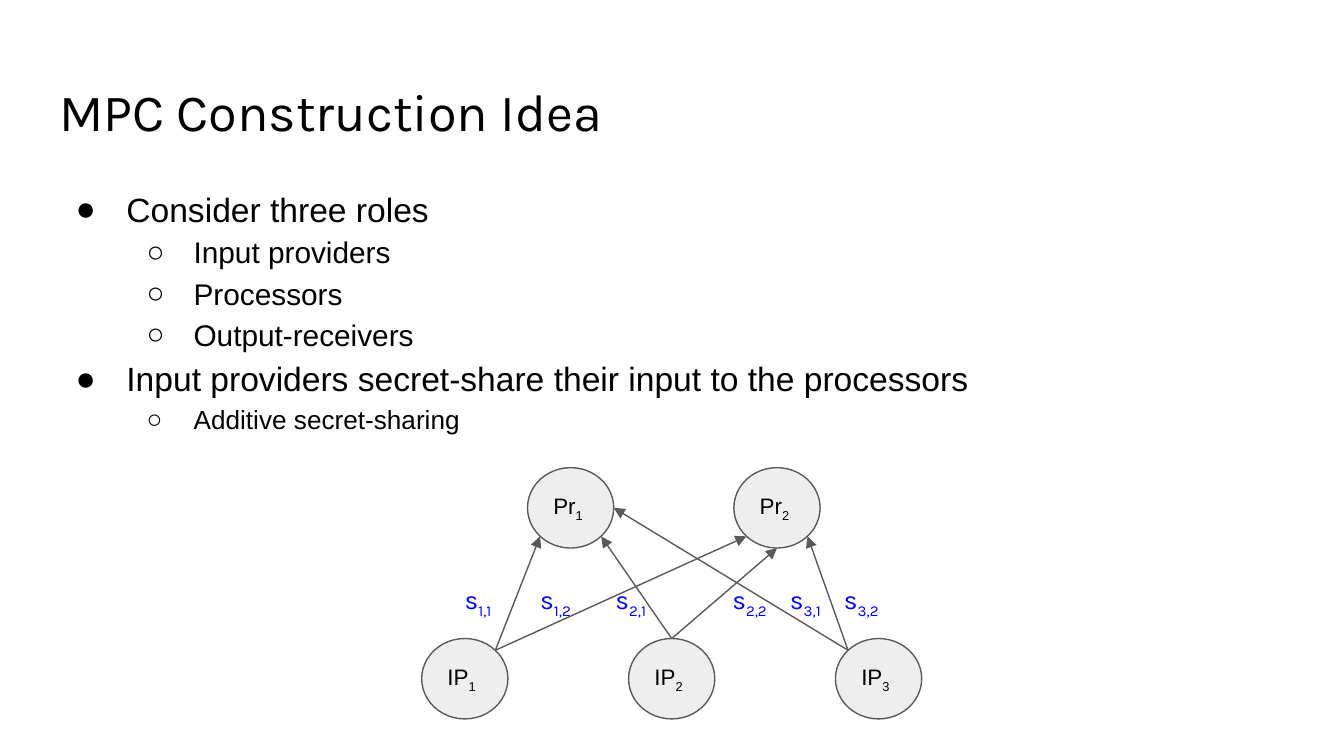
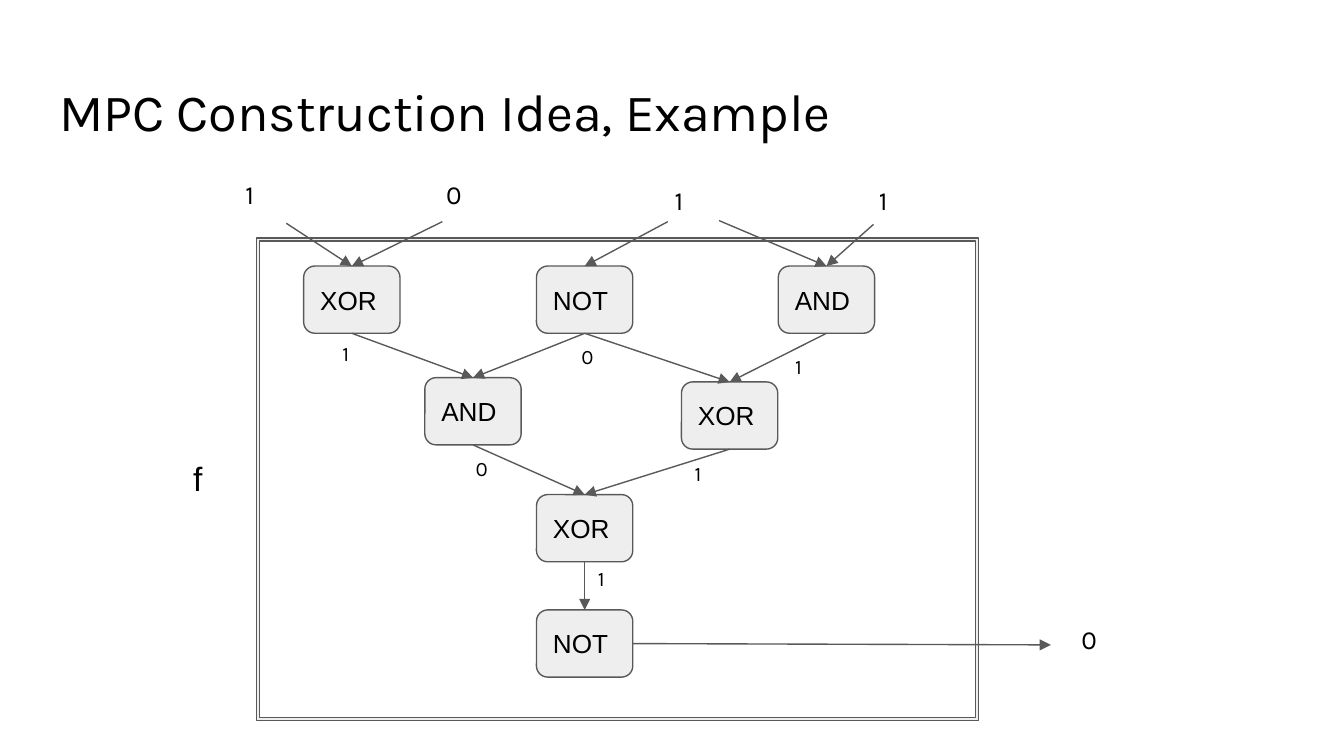
from typing import NamedTuple

from lxml.etree import SubElement
from pptx import Presentation
from pptx.dml.color import RGBColor
from pptx.enum.shapes import MSO_CONNECTOR as Link, MSO_SHAPE as Shape
from pptx.enum.text import MSO_ANCHOR as Anchor, MSO_AUTO_SIZE as Fit, PP_ALIGN as Align
from pptx.oxml.ns import qn
from pptx.util import Cm, Pt

COLORS = {"text": "000000", "share": "0000FF", "node": "EEEEEE", "line": "595959"}
SANS, DISPLAY = "Arial", "Karla"
INSET = 0.25
TOP, LEFT, BOTTOM, RIGHT = range(4)


class Box(NamedTuple):
    """A region of the slide, in centimetres."""
    left: float
    top: float
    width: float
    height: float

    def inner(self, x, y, width, height):
        return Box(self.left + x, self.top + y, width, height)

    def point(self, across, down):
        """The point at the given fractions of the width and height."""
        return self.left + across * self.width, self.top + down * self.height

    def lengths(self):
        return [Cm(value) for value in self]


TITLE_BOX = Box(0.87, 1.24, 23.67, 1.6)
BODY_BOX = Box(0.87, 3.2, 23.67, 9.5)
SHARING_BOX = Box(7.97, 8.84, 9.45, 4.75)
CIRCUIT_BOX = Box(4.85, 4.5, 13.64, 9.12)


def rgb(name):
    return RGBColor.from_string(COLORS[name])


def add_run(paragraph, text, size, font, color="text", subscript=False):
    run = paragraph.add_run()
    run.text = text
    run.font.size = Pt(size)
    run.font.name = font
    run.font.color.rgb = rgb(color)
    if subscript:
        run._r.get_or_add_rPr().set("baseline", "-25000")


def set_frame(frame, anchor=Anchor.TOP, fit=Fit.NONE):
    frame.word_wrap = True
    frame.auto_size = fit
    frame.vertical_anchor = anchor
    frame.margin_left = frame.margin_right = Cm(INSET)
    frame.margin_top = frame.margin_bottom = Cm(INSET)
    frame.paragraphs[0].alignment = Align.LEFT
    return frame.paragraphs[0]


def add_label(slide, box, text, size, font=DISPLAY, color="text", index=""):
    label = slide.shapes.add_textbox(*box.lengths())
    paragraph = set_frame(label.text_frame, fit=Fit.SHAPE_TO_FIT_TEXT)
    add_run(paragraph, text, size, font, color)
    if index:
        add_run(paragraph, index, size, font, color, subscript=True)


def add_node(slide, kind, box, text="", size=14, index=""):
    node = slide.shapes.add_shape(kind, *box.lengths())
    node.shadow.inherit = False
    node.fill.solid()
    node.fill.fore_color.rgb = rgb("node")
    node.line.color.rgb = rgb("line")
    node.line.width = Pt(0.75)
    paragraph = set_frame(node.text_frame, Anchor.MIDDLE)
    if text:
        add_run(paragraph, text, size, SANS)
    if index:
        add_run(paragraph, index, size, SANS, subscript=True)
    return node


def add_arrow(slide, start=(0, 0), end=(0, 0)):
    ends = [Cm(value) for value in (*start, *end)]
    arrow = slide.shapes.add_connector(Link.STRAIGHT, *ends)
    arrow.line.color.rgb = rgb("line")
    arrow.line.width = Pt(0.75)
    SubElement(arrow.line._get_or_add_ln(), qn("a:tailEnd"), type="triangle")
    SubElement(arrow._element.spPr, qn("a:effectLst"))
    return arrow


def add_titled_slide(deck, text):
    slide = deck.slides.add_slide(deck.slide_layouts[5])
    title = slide.shapes.title
    title.left, title.top, title.width, title.height = TITLE_BOX.lengths()
    add_run(set_frame(title.text_frame), text, 28, DISPLAY)
    return slide


def set_bullet(paragraph, level):
    margin, hang, mark = ((1.27, 0.96, "●"), (2.54, 0.89, "○"))[level]
    paragraph.level = level
    paragraph.line_spacing = 1.15
    properties = paragraph._p.get_or_add_pPr()
    properties.set("marL", str(Cm(margin)))
    properties.set("indent", str(-Cm(hang)))
    color = SubElement(properties, qn("a:buClr"))
    SubElement(color, qn("a:srgbClr"), val=COLORS["text"])
    SubElement(properties, qn("a:buFont"), typeface=SANS)
    SubElement(properties, qn("a:buChar"), char=mark)


def add_roles(slide, box):
    points = [
        (0, 18, "Consider three roles"),
        (1, 16, "Input providers"),
        (1, 16, "Processors"),
        (1, 16, "Output-receivers"),
        (0, 18, "Input providers secret-share their input to the processors"),
        (1, 14, "Additive secret-sharing"),
    ]
    frame = slide.shapes.add_textbox(*box.lengths()).text_frame
    paragraph = set_frame(frame)
    paragraph.space_before = Pt(12)
    for number, (level, size, text) in enumerate(points):
        if number:
            paragraph = frame.add_paragraph()
        set_bullet(paragraph, level)
        add_run(paragraph, text, size, SANS)


def add_sharing(slide, box):
    """Input providers below, processors above, one arrow per share."""
    width, height = 1.63, 1.52
    near, far = 0.146, 0.854  # where the diagonals meet the circle
    providers = [box.inner(3.91 * i, box.height - height, width, height) for i in range(3)]
    processors = [box.inner(2 + 3.9 * i, 0, width, height) for i in range(2)]
    for name, circles in (("IP", providers), ("Pr", processors)):
        for number, circle in enumerate(circles, 1):
            add_node(slide, Shape.OVAL, circle, name, 12, str(number))

    starts = [(far, near), (0.5, 0), (near, near)]
    ends = [[(near, far), (near, far)], [(far, far), (0.5, 1)], [(1, 0.5), (far, far)]]
    label_lefts = [[0.56, 1.99], [3.41, 5.62], [6.71, 7.73]]
    for i, provider in enumerate(providers):
        for j, processor in enumerate(processors):
            add_arrow(slide, provider.point(*starts[i]), processor.point(*ends[i][j]))
            add_label(slide, box.inner(label_lefts[i][j], 1.94, 1.22, 1.12),
                      "s", 14, color="share", index=f"{i + 1},{j + 1}")


def add_circuit(slide, box):
    """A framed circuit f, with its inputs above and its output at the right."""
    border = add_node(slide, Shape.FRAME, box)
    border.adjustments[0] = 0.006

    gate_places = {
        "xor_in": ("XOR", 0.89, 0.53),
        "not_in": ("NOT", 5.29, 0.53),
        "and_in": ("AND", 9.86, 0.53),
        "and_mid": ("AND", 3.18, 2.64),
        "xor_mid": ("XOR", 8.03, 2.72),
        "xor_low": ("XOR", 5.29, 4.85),
        "not_out": ("NOT", 5.29, 7.03),
    }
    gates = {
        key: add_node(slide, Shape.ROUNDED_RECTANGLE, box.inner(x, y, 1.82, 1.27), text)
        for key, (text, x, y) in gate_places.items()
    }

    input_wires = [
        (0.56, -0.28, "xor_in"), (3.51, -0.31, "xor_in"), (7.77, -0.31, "not_in"),
        (8.74, -0.33, "and_in"), (11.66, -0.26, "and_in"),
    ]
    for x, y, gate in input_wires:
        wire = add_arrow(slide, start=(box.left + x, box.top + y))
        wire.end_connect(gates[gate], TOP)

    gate_wires = [
        ("xor_in", "and_mid"), ("not_in", "and_mid"), ("and_in", "xor_mid"),
        ("not_in", "xor_mid"), ("xor_mid", "xor_low"), ("and_mid", "xor_low"),
        ("xor_low", "not_out"),
    ]
    for source, target in gate_wires:
        wire = add_arrow(slide)
        wire.begin_connect(gates[source], BOTTOM)
        wire.end_connect(gates[target], TOP)
    output_wire = add_arrow(slide, end=(box.left + 15.01, box.top + 7.69))
    output_wire.begin_connect(gates["not_out"], RIGHT)

    outer_values = [
        ("1", -0.46, -1.38, 1.37), ("0", 3.33, -1.38, 1.37), ("1", 7.65, -1.27, 1.37),
        ("1", 11.51, -1.27, 1.37), ("0", 15.34, 7.03, 1.88),
    ]
    gate_values = [
        ("1", 1.37, 1.72, 0.89), ("0", 5.89, 1.77, 3.18), ("1", 9.93, 1.95, 3.18),
        ("1", 8.03, 3.98, 0.99), ("0", 3.89, 3.88, 0.99), ("1", 6.2, 5.96, 0.99),
    ]
    for size, height, values in ((14, 1.12, outer_values), (11, 0.99, gate_values)):
        for value, x, y, width in values:
            add_label(slide, box.inner(x, y, width, height), value, size)
    add_label(slide, box.inner(-1.45, 3.91, 1.24, 1.27), "f", 18, SANS)


def main():
    deck = Presentation()
    deck.slide_width, deck.slide_height = Cm(25.4), Cm(14.29)

    idea = add_titled_slide(deck, "MPC Construction Idea")
    add_roles(idea, BODY_BOX)
    add_sharing(idea, SHARING_BOX)

    example = add_titled_slide(deck, "MPC Construction Idea, Example")
    add_circuit(example, CIRCUIT_BOX)

    deck.save("out.pptx")


if __name__ == "__main__":
    main()
